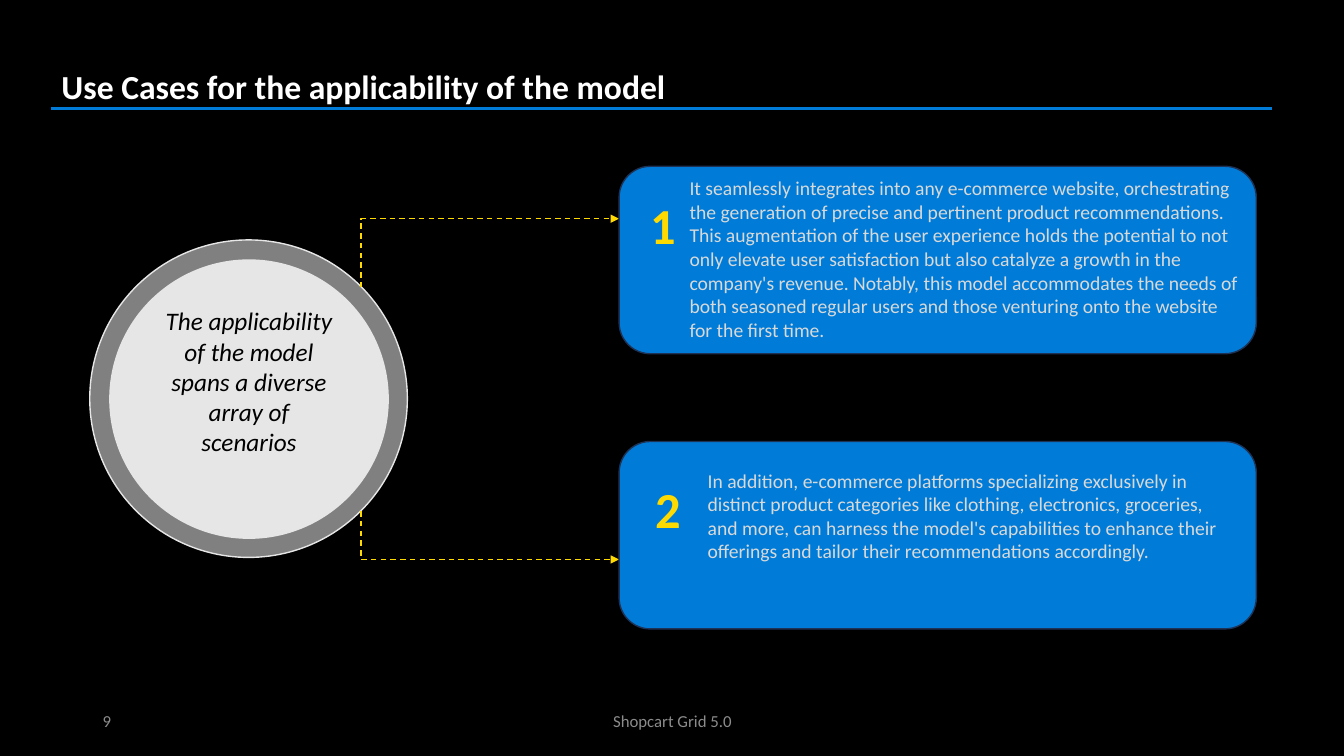
from dataclasses import dataclass

from lxml.etree import SubElement
from pptx import Presentation
from pptx.dml.color import RGBColor
from pptx.enum.dml import MSO_LINE
from pptx.enum.shapes import MSO_CONNECTOR, MSO_SHAPE
from pptx.enum.text import MSO_ANCHOR, MSO_AUTO_SIZE, PP_ALIGN
from pptx.oxml.ns import qn
from pptx.util import Inches, Pt

COLORS = {
    "background": "000000",
    "title": "FFFFFF",
    "accent": "007CD8",
    "card_border": "1E3256",
    "highlight": "FFDA00",
    "card_text": "D9D9D9",
    "ring": "808080",
    "disc": "E7E6E6",
    "disc_text": "000000",
    "footer": "8C8C8C",
}

CARD_LEFT, CARD_WIDTH, CARD_HEIGHT = 6.14, 6.32, 1.86
ARROW_LEFT = 3.58


@dataclass
class Box:
    left: float
    top: float
    width: float
    height: float

    def lengths(self):
        return [Inches(value) for value in (self.left, self.top, self.width, self.height)]


@dataclass
class TextStyle:
    size: float
    color: str
    bold: bool = False
    italic: bool = False
    align: PP_ALIGN = PP_ALIGN.LEFT
    anchor: MSO_ANCHOR = MSO_ANCHOR.TOP


@dataclass
class UseCase:
    number: str
    text: str
    card_top: float
    number_box: Box
    text_box: Box
    arrow_start: float
    arrow_end: float


USE_CASES = [
    UseCase(
        "1",
        "It seamlessly integrates into any e-commerce website, orchestrating the "
        "generation of precise and pertinent product recommendations. This augmentation "
        "of the user experience holds the potential to not only elevate user satisfaction "
        "but also catalyze a growth in the company's revenue. Notably, this model "
        "accommodates the needs of both seasoned regular users and those venturing onto "
        "the website for the first time.",
        1.65, Box(6.35, 1.88, 0.47, 0.71), Box(6.74, 1.7, 5.68, 1.75), 2.85, 2.17,
    ),
    UseCase(
        "2",
        "In addition, e-commerce platforms specializing exclusively in distinct product "
        "categories like clothing, electronics, groceries, and more, can harness the "
        "model's capabilities to enhance their offerings and tailor their recommendations "
        "accordingly.",
        4.38, Box(6.4, 4.69, 0.47, 0.71), Box(6.92, 4.6, 5.28, 1.28), 5.07, 5.55,
    ),
]


def color(name: str) -> RGBColor:
    return RGBColor.from_string(COLORS[name])


def write_text(shape, text: str, style: TextStyle) -> None:
    frame = shape.text_frame
    frame.word_wrap = True
    frame.auto_size = MSO_AUTO_SIZE.NONE
    frame.vertical_anchor = style.anchor
    paragraph = frame.paragraphs[0]
    paragraph.text = text
    paragraph.alignment = style.align
    font = paragraph.font
    font.name = "Calibri"
    font.size = Pt(style.size)
    font.bold = style.bold
    font.italic = style.italic
    font.color.rgb = color(style.color)


def add_text(slide, box: Box, text: str, style: TextStyle) -> None:
    write_text(slide.shapes.add_textbox(*box.lengths()), text, style)


def add_filled_shape(shapes, kind: MSO_SHAPE, box: Box, fill: str, border: str):
    shape = shapes.add_shape(kind, *box.lengths())
    shape.shadow.inherit = False
    shape.fill.solid()
    shape.fill.fore_color.rgb = color(fill)
    shape.line.color.rgb = color(border)
    shape.line.width = Pt(1)
    return shape


def add_line(slide, kind: MSO_CONNECTOR, start: tuple, end: tuple, line_color: str, width: float):
    points = [Inches(value) for value in (*start, *end)]
    connector = slide.shapes.add_connector(kind, *points)
    connector.line.color.rgb = color(line_color)
    connector.line.width = Pt(width)
    SubElement(connector._element.spPr, qn("a:effectLst"))
    return connector


def add_corner_arrow(slide, start_y: float, end_y: float) -> None:
    """Run vertically from the disc, turn once, and point right at a card.

    The one-bend preset starts horizontally, so it is laid out on its side
    around the same centre and then turned by a quarter.
    """
    half_span = (CARD_LEFT - ARROW_LEFT) / 2
    half_rise = abs(end_y - start_y) / 2
    center_x = ARROW_LEFT + half_span
    center_y = (start_y + end_y) / 2
    upward = end_y < start_y
    offset_y = half_span if upward else -half_span
    connector = add_line(
        slide, MSO_CONNECTOR.ELBOW,
        (center_x + half_rise, center_y + offset_y),
        (center_x - half_rise, center_y - offset_y),
        "highlight", 1,
    )
    connector.line.dash_style = MSO_LINE.DASH
    properties = connector._element.spPr
    properties.find(qn("a:xfrm")).set("rot", str((90 if upward else 270) * 60000))
    properties.find(qn("a:prstGeom")).set("prst", "bentConnector2")
    SubElement(properties.find(qn("a:ln")), qn("a:tailEnd"), type="triangle")


def add_disc(slide) -> None:
    group = slide.shapes.add_group_shape()
    add_filled_shape(group.shapes, MSO_SHAPE.OVAL, Box(0.89, 2.38, 3.15, 3.15), "ring", "disc")
    disc = add_filled_shape(
        group.shapes, MSO_SHAPE.OVAL, Box(1.09, 2.58, 2.76, 2.76), "disc", "disc")
    write_text(
        disc, "The applicability of the model spans a diverse array of scenarios",
        TextStyle(18, "disc_text", italic=True, align=PP_ALIGN.CENTER))


def add_use_case(slide, case: UseCase) -> None:
    add_corner_arrow(slide, case.arrow_start, case.arrow_end)
    card = Box(CARD_LEFT, case.card_top, CARD_WIDTH, CARD_HEIGHT)
    add_filled_shape(slide.shapes, MSO_SHAPE.ROUNDED_RECTANGLE, card, "accent", "card_border")
    add_text(slide, case.text_box, case.text, TextStyle(14, "card_text"))
    add_text(slide, case.number_box, case.number, TextStyle(36, "highlight", bold=True))


def main() -> None:
    presentation = Presentation()
    presentation.slide_width = Inches(13.33)
    presentation.slide_height = Inches(7.5)
    slide = presentation.slides.add_slide(presentation.slide_layouts[5])
    slide.background.fill.solid()
    slide.background.fill.fore_color.rgb = color("background")

    title = slide.shapes.title
    title.left, title.top, title.width, title.height = Box(0.51, 0.6, 12.23, 0.5).lengths()
    write_text(title, "Use Cases for the applicability of the model",
               TextStyle(24, "title", bold=True))
    add_line(slide, MSO_CONNECTOR.STRAIGHT, (0.51, 1.08), (12.62, 1.08), "accent", 2.25)

    add_disc(slide)
    for case in USE_CASES:
        add_use_case(slide, case)

    add_text(slide, Box(0.92, 6.95, 3, 0.4), "9",
             TextStyle(12, "footer", anchor=MSO_ANCHOR.MIDDLE))
    add_text(slide, Box(4.42, 6.95, 4.5, 0.4), "Shopcart Grid 5.0",
             TextStyle(12, "footer", align=PP_ALIGN.CENTER, anchor=MSO_ANCHOR.MIDDLE))
    presentation.save("out.pptx")


if __name__ == "__main__":
    main()
